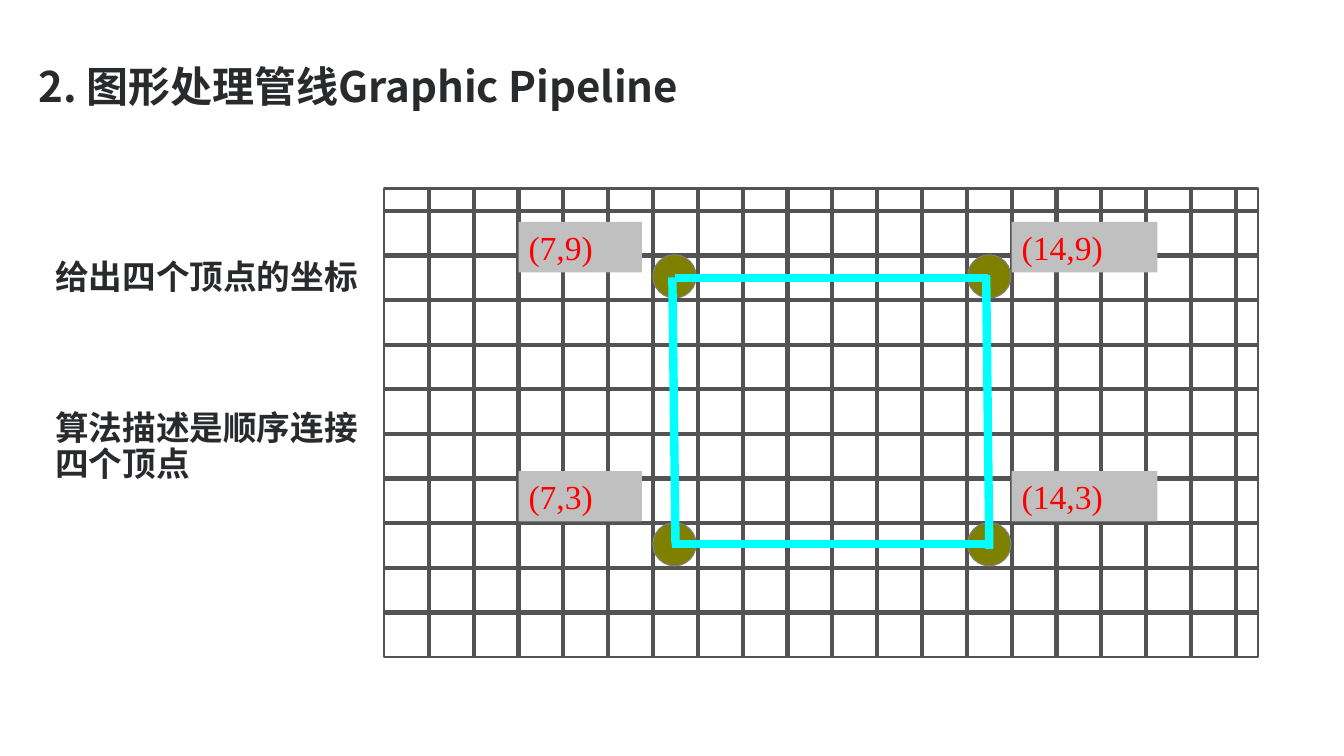
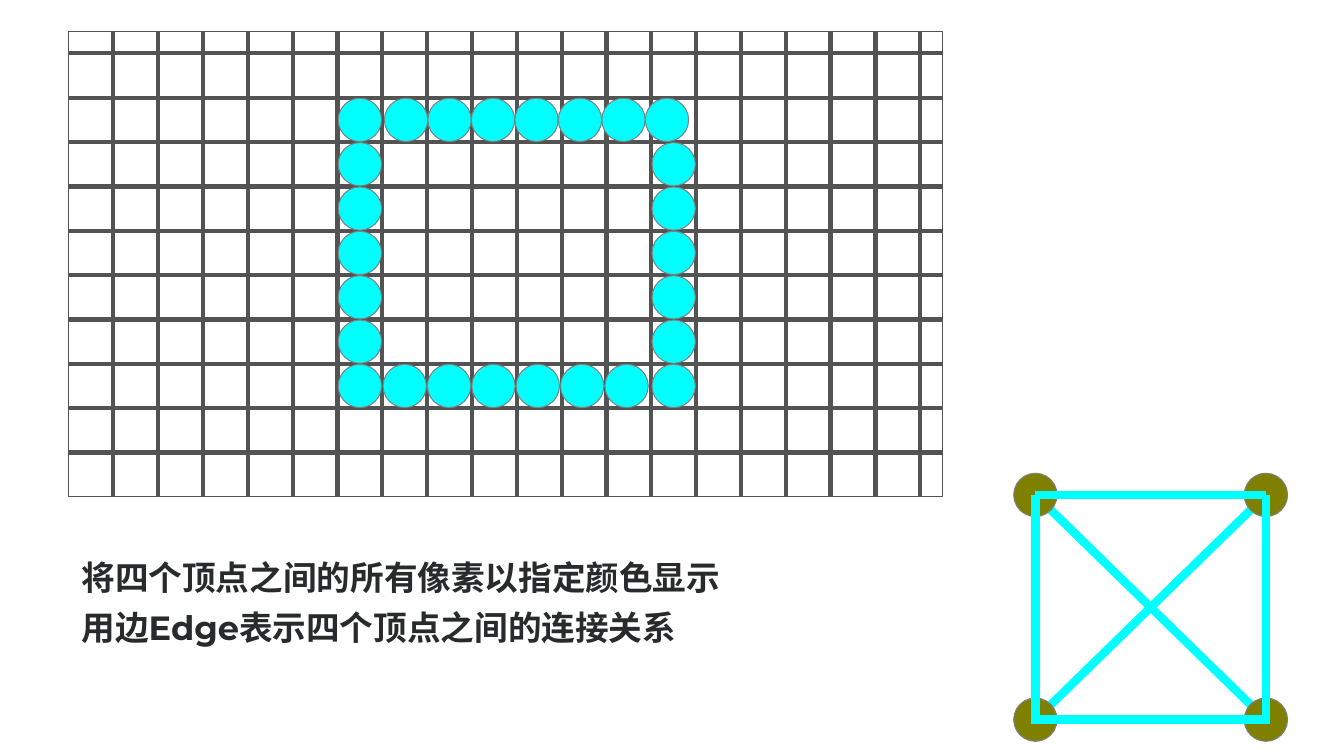
from dataclasses import dataclass
from itertools import product

import lxml.etree
import pptx
import pptx.dml.color
import pptx.enum.shapes
import pptx.enum.text
import pptx.oxml.ns
import pptx.util

RGBColor = pptx.dml.color.RGBColor
Shape = pptx.enum.shapes.MSO_SHAPE
Anchor = pptx.enum.text.MSO_ANCHOR
Align = pptx.enum.text.PP_ALIGN
Inches = pptx.util.Inches
Pt = pptx.util.Pt
qn = pptx.oxml.ns.qn

INK = RGBColor(0x28, 0x2A, 0x2C)
WHITE = RGBColor(0xFF, 0xFF, 0xFF)
GRID_LINE = RGBColor(0x53, 0x53, 0x53)
OUTLINE = RGBColor(0x7F, 0x7F, 0x7F)
LABEL_FILL = RGBColor(0xC0, 0xC0, 0xC0)
RED = RGBColor(0xFF, 0x00, 0x00)
OLIVE = RGBColor(0x80, 0x80, 0x00)
CYAN = RGBColor(0x00, 0xFF, 0xFF)

TITLE_FONT = "Noto Sans CJK SC"
BODY_FONT = "Montserrat"
LABEL_FONT = "Times New Roman"

SLIDE_W, SLIDE_H = 13.33, 7.5
DOT = 0.43
COLS, ROWS = 19.5, 10.5


@dataclass
class Grid:
    """Area of the slide, in percent of its size, cut into columns and rows."""
    left: float
    top: float
    width: float
    height: float
    cols: float = 1
    rows: float = 1

    def w(self, cols):
        return Inches(SLIDE_W * self.width / 100 * cols / self.cols)

    def h(self, rows):
        return Inches(SLIDE_H * self.height / 100 * rows / self.rows)

    def x(self, col):
        return Inches(SLIDE_W * self.left / 100) + self.w(col)

    def y(self, row):
        return Inches(SLIDE_H * self.top / 100) + self.h(row)

    def box(self, col, row, cols, rows):
        return self.x(col), self.y(row), self.w(cols), self.h(rows)


PAGE = Grid(0, 0, 100, 100, 100, 100)


def style_paragraph(p, font, size, color, bold=False):
    p.alignment = Align.LEFT
    p.font.name = font
    p.font.size = Pt(size)
    p.font.bold = bold
    p.font.color.rgb = color
    props = p._p.pPr.find(qn("a:defRPr"))
    lxml.etree.SubElement(props, qn("a:ea"), typeface=font)


def add_text(s, box, lines, font, size, inset, anchor=Anchor.TOP, gap=10):
    tf = s.shapes.add_textbox(*PAGE.box(*box)).text_frame
    tf.word_wrap = True
    tf.vertical_anchor = anchor
    tf.margin_left = tf.margin_right = Inches(inset)
    tf.margin_top = tf.margin_bottom = Inches(inset)
    for i, line in enumerate(lines):
        p = tf.add_paragraph() if i else tf.paragraphs[0]
        p.text = line
        p.line_spacing = 0.9
        p.space_before = Pt(gap if i else 0)
        style_paragraph(p, font, size, INK, bold=True)


def add_title(s, text):
    add_text(s, (2.48, 4.8, 90, 14), [text], TITLE_FONT, 30, 0.05, Anchor.MIDDLE)


def add_body(s, box, lines, gap=10):
    add_text(s, box, lines, BODY_FONT, 24, 0.1, gap=gap)


def add_filled(s, kind, box, fill, line=None, weight=0.75):
    sp = s.shapes.add_shape(kind, *box)
    sp.shadow.inherit = False
    sp.fill.solid()
    sp.fill.fore_color.rgb = fill
    if line is None:
        sp.line.fill.background()
    else:
        sp.line.color.rgb = line
        sp.line.width = Pt(weight)
    return sp


def add_line(s, grid, start, end, color, weight):
    """Draws a line between two (column, row) points."""
    line = s.shapes.add_connector(
        pptx.enum.shapes.MSO_CONNECTOR.STRAIGHT,
        grid.x(start[0]), grid.y(start[1]), grid.x(end[0]), grid.y(end[1]))
    line.line.color.rgb = color
    line.line.width = Pt(weight)
    lxml.etree.SubElement(line._element.spPr, qn("a:effectLst"))


def add_pixel_grid(s, grid, border):
    add_filled(s, Shape.RECTANGLE, grid.box(0, 0, COLS, ROWS), WHITE, GRID_LINE, border)
    for row in range(10):
        add_line(s, grid, (0, row + 0.5), (COLS, row + 0.5), GRID_LINE, 3)
    for col in range(1, 20):
        add_line(s, grid, (col, 0), (col, ROWS), GRID_LINE, 3)


def add_dot(s, grid, col, row, fill):
    """Draws a dot centred on a (column, row) point."""
    size = Inches(DOT)
    box = grid.x(col) - size // 2, grid.y(row) - size // 2, size, size
    add_filled(s, Shape.OVAL, box, fill, OUTLINE)


def add_label(s, grid, col, row, cols, text):
    sp = add_filled(s, Shape.RECTANGLE, grid.box(col, row, cols, 1.13), LABEL_FILL)
    tf = sp.text_frame
    tf.vertical_anchor = Anchor.TOP
    p = tf.paragraphs[0]
    p.text = text
    style_paragraph(p, LABEL_FONT, 24, RED)


def add_edges(s, grid, edges):
    for start, end in edges:
        add_line(s, grid, start, end, CYAN, 6)


def build_vertices(s):
    grid = Grid(28.58, 24.93, 65.04, 62, COLS, ROWS)
    add_body(s, (3.38, 33.07, 25.2, 40),
             ["给出四个顶点的坐标", "算法描述是顺序连接四个顶点"], gap=82)
    add_pixel_grid(s, grid, 1.5)
    for (col, cols, x), (row, y) in product([(3, 2.75, 7), (14, 3.25, 14)],
                                            [(6.33, 3), (0.75, 9)]):
        add_label(s, grid, col, row, cols, f"({x},{y})")
    for col, row in product((6.48, 13.5), (1.97, 7.97)):
        add_dot(s, grid, col, row, OLIVE)
    add_edges(s, grid, [((6.5, 7.97), (6.43, 1.99)), ((6.48, 2), (13.47, 2)),
                        ((13.43, 1.94), (13.5, 8.08)), ((13.43, 7.97), (6.43, 7.97))])
    add_title(s, "2. 图形处理管线Graphic Pipeline")


def build_pixels(s):
    grid = Grid(5.1, 4.13, 65.04, 61.6, COLS, ROWS)
    add_body(s, (5.33, 72.93, 56.7, 16),
             ["将四个顶点之间的所有像素以指定颜色显示", "用边Edge表示四个顶点之间的连接关系"])
    add_pixel_grid(s, grid, 0.75)
    left = [(6.5, 2 + i) for i in range(7)]
    right = [(13.5, 3 + i) for i in range(6)]
    top = [(7.53 + 0.97 * i, 2) for i in range(7)]
    bottom = [(7.5 + 0.99 * i, 8) for i in range(6)]
    for col, row in left + right + top + bottom:
        add_dot(s, grid, col, row, CYAN)

    square = Grid(77.04, 65.47, 17.15, 29.73)
    add_edges(s, square, [((0, 1), (1, 0)), ((0, 0), (1, 1))])
    for col, row in product((0, 1), repeat=2):
        add_dot(s, square, col, row, OLIVE)
    add_edges(s, square, [((0, 0), (1, 0)), ((1, 0), (1, 1.02)),
                          ((0, 0), (0, 1.02)), ((0, 1), (1, 1))])


def main():
    prs = pptx.Presentation()
    prs.slide_width = Inches(SLIDE_W)
    prs.slide_height = Inches(SLIDE_H)
    for build in (build_vertices, build_pixels):
        build(prs.slides.add_slide(prs.slide_layouts[6]))
    prs.save("out.pptx")


if __name__ == "__main__":
    main()
